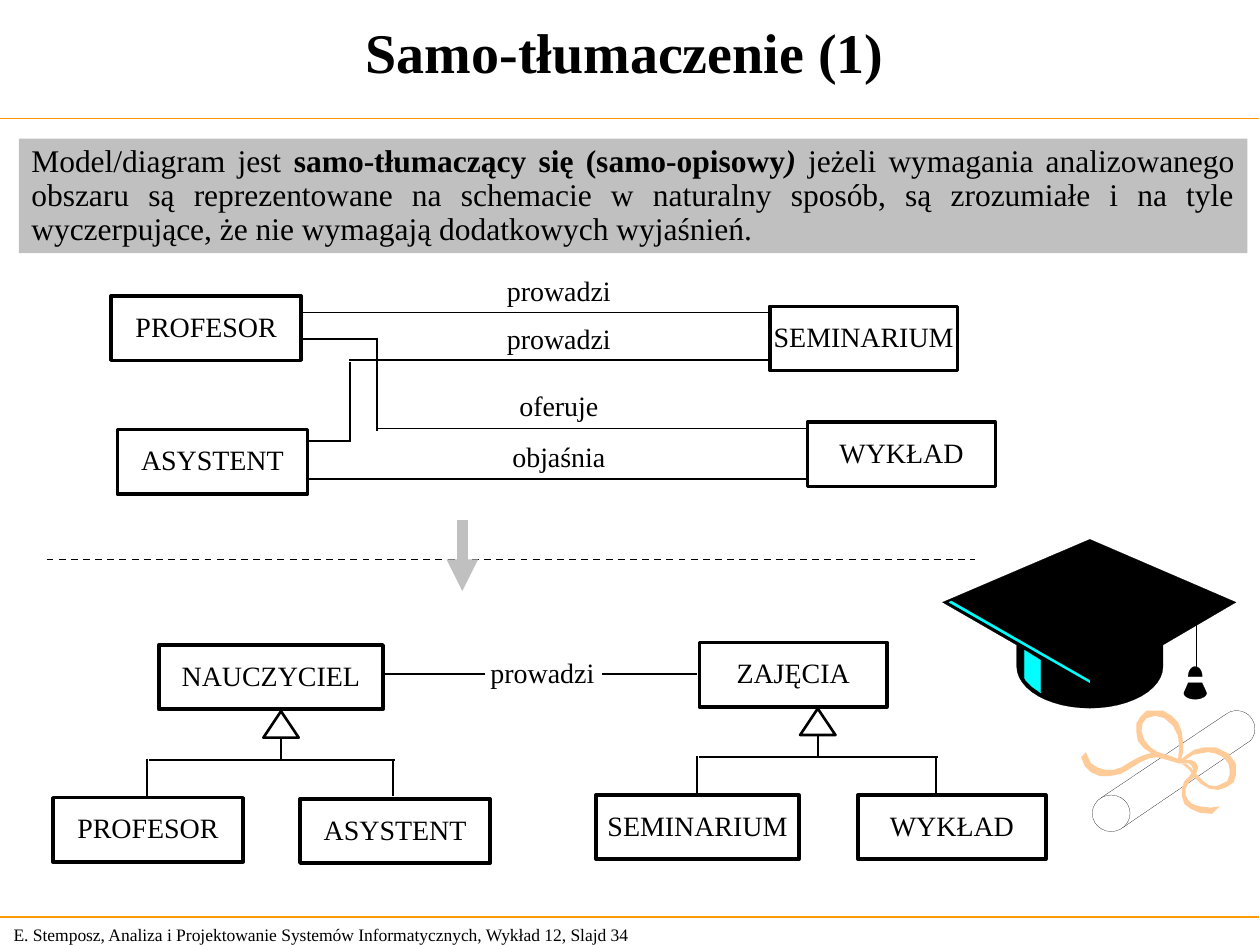
from dataclasses import dataclass
from math import cos, radians, sin

from pptx import Presentation
from pptx.dml.color import RGBColor as RGB
from pptx.enum.dml import MSO_LINE
from pptx.enum.shapes import MSO_CONNECTOR, MSO_SHAPE as SHAPE
from pptx.enum.text import MSO_ANCHOR as ANCHOR, PP_ALIGN as ALIGN
from pptx.oxml.ns import qn
from pptx.util import Pt
from lxml.etree import SubElement


@dataclass(frozen=True)
class Theme:
    font: str = "Times New Roman"
    black: RGB = RGB(0, 0, 0)
    white: RGB = RGB(255, 255, 255)
    gray: RGB = RGB(0xC0, 0xC0, 0xC0)
    rule: RGB = RGB(0xFF, 0x99, 0x00)
    cyan: RGB = RGB(0, 255, 255)
    ribbon: RGB = RGB(0xFF, 0xCC, 0x99)
    title: int = 32
    body: int = 18
    label: int = 16
    footer: int = 10
    hairline: float = 0.1


T = Theme()

BOXES = [
    ("PROFESOR", 63.4, 169.2, 108.7, None),
    ("SEMINARIUM", 439.9, 175, 107.3, None),
    ("WYKŁAD", 461.5, 241.2, 107.3, T.white),
    ("ASYSTENT", 67, 245.5, 108.7, None),
    ("NAUCZYCIEL", 90.7, 368.6, 128.2, None),
    ("ZAJĘCIA", 399.6, 367.2, 107.3, None),
    ("PROFESOR", 30.2, 455.8, 108.7, None),
    ("ASYSTENT", 171.4, 456.5, 108.7, None),
    ("SEMINARIUM", 340.6, 454.3, 115.9, None),
    ("WYKŁAD", 490.3, 454.3, 107.3, None),
]
LABELS = [
    ("prowadzi", 283.7, 154.1, 26.6),
    ("prowadzi", 283.7, 180, 28.8),
    ("oferuje", 283.7, 217.4, 31),
    ("objaśnia", 283.7, 249.1, 25.2),
    ("prowadzi", 274.3, 363.6, 43.2),
]
ASSOCIATIONS = [
    (172.8, 178.6, 439.2, 178.6),
    (439.2, 205.9, 199.4, 205.9),
    (200.2, 206.6, 200.2, 252.7),
    (200.2, 252, 175.7, 252),
    (172.8, 193.7, 216, 193.7),
    (215.3, 193.7, 215.3, 246.2),
    (216, 244.8, 460.8, 244.8),
    (462.2, 273.6, 175.7, 273.6),
    (277.2, 385.2, 218.9, 385.2),
    (344.2, 385.2, 398.2, 385.2),
]
LEFT_TAIL = [
    (620.6, 429.8), (617.8, 432.7), (619.9, 437.8), (623.5, 441.4), (628.6, 443.5),
    (634.3, 443.5), (640.8, 442.1), (645.8, 439.2), (651.6, 435.6), (656.6, 433.4),
    (661, 432.7), (666.7, 434.2), (673.9, 436.3), (674.6, 434.2), (668.9, 432),
    (661.7, 429.8), (656.6, 430.6), (652.3, 432), (646.6, 434.9), (640.8, 438.5),
    (636.5, 439.9), (631.4, 439.9), (627.1, 438.5), (623.5, 436.3), (621.4, 432)]
RIGHT_TAIL = [
    (674.6, 434.2), (680.4, 434.2), (683.3, 435.6), (684.7, 438.5), (684, 440.6),
    (683.3, 443.5), (679.7, 446.4), (677.5, 450.7), (677.5, 454.3), (679, 457.2),
    (681.1, 459.4), (685.4, 460.8), (691.9, 461.5), (697, 460.8), (692.6, 465.1),
    (685.4, 464.4), (680.4, 462.2), (676.8, 459.4), (675.4, 455), (675.4, 450.7),
    (676.8, 446.4), (679.7, 443.5), (681.1, 441.4), (681.8, 439.9), (681.1, 437.8),
    (679.7, 436.3), (673.2, 436.3)]
LEFT_LOOP = [
    (673.2, 434.2), (673.9, 427), (673.2, 420.5), (670.3, 414.7), (665.3, 410.4),
    (660.2, 409), (655.2, 410.4), (653, 413.3), (652.3, 417.6), (653.8, 422.6),
    (657.4, 427), (661.7, 429.8), (669.6, 433.4), (659.5, 431.3), (653.8, 427.7),
    (650.2, 423.4), (649.4, 418.3), (649.4, 413.3), (651.6, 409.7), (655.2, 406.1),
    (664.6, 406.1), (669.6, 409), (673.2, 412.6), (675.4, 418.3), (676.1, 424.8),
    (676.1, 429.8), (674.6, 435.6)]
RIGHT_LOOP = [
    (674.6, 434.2), (678.2, 431.3), (682.6, 428.4), (688.3, 427), (694.8, 427),
    (702, 430.6), (706.3, 436.3), (706.3, 442.8), (704.9, 447.1), (700.6, 450),
    (696.2, 451.4), (691.2, 450.7), (686.2, 447.8), (682.6, 444.2), (679.7, 439.9),
    (676.1, 437), (674.6, 436.3), (677.5, 436.3), (680.4, 438.5), (683.3, 442.1),
    (686.9, 445.7), (690.5, 448.6), (694.8, 449.3), (698.4, 447.8), (701.3, 446.4),
    (702.7, 442.8), (702.7, 439.9), (702, 436.3), (699.1, 432.7), (694.8, 430.6),
    (690.5, 429.8), (685.4, 430.6), (681.8, 431.3), (679.7, 432.7), (677.5, 434.2)]


def paint(sp, fill=None, line=None, width=T.hairline):
    sp.shadow.inherit = False
    if fill is None:
        sp.fill.background()
    else:
        sp.fill.solid()
        sp.fill.fore_color.rgb = fill
    if line is None:
        sp.line.fill.background()
    else:
        sp.line.color.rgb = line
        sp.line.width = Pt(width)


def write(sp, runs, size, align=ALIGN.CENTER, anchor=ANCHOR.MIDDLE, wrap=False,
          spacing=0.9, margin=7.2):
    tf = sp.text_frame
    tf.word_wrap = wrap
    tf.vertical_anchor = anchor
    tf.margin_left = tf.margin_right = Pt(margin)
    p = tf.paragraphs[0]
    p.alignment = align
    p.line_spacing = spacing
    for text, bold, italic in runs:
        r = p.add_run()
        r.text = text
        r.font.name, r.font.size = T.font, Pt(size)
        r.font.bold, r.font.italic = bold, italic
        r.font.color.rgb = T.black


def add_text(s, text, x, y, w, h, size, bold=False, **layout):
    sp = s.shapes.add_textbox(Pt(x), Pt(y), Pt(w), Pt(h))
    write(sp, [(text, bold, False)], size, **layout)


def add_preset(s, kind, x, y, w, h, fill=None, line=None, width=T.hairline):
    sp = s.shapes.add_shape(kind, Pt(x), Pt(y), Pt(w), Pt(h))
    paint(sp, fill, line, width)
    return sp


def add_line(s, x1, y1, x2, y2, color=T.black, width=1):
    c = s.shapes.add_connector(MSO_CONNECTOR.STRAIGHT, Pt(x1), Pt(y1), Pt(x2), Pt(y2))
    c.line.color.rgb = color
    c.line.width = Pt(width)
    SubElement(c._element.spPr, qn("a:effectLst"))
    return c


def add_outline(s, points, fill, line=None):
    (x, y), *rest = [(Pt(px), Pt(py)) for px, py in points]
    fb = s.shapes.build_freeform(x, y)
    fb.add_line_segments(rest, close=True)
    paint(fb.convert_to_shape(), fill, line)


def arc(cx, cy, rx, ry, start, end, steps=24):
    angles = [radians(start + (end - start) * i / steps) for i in range(steps + 1)]
    return [(cx + rx * cos(a), cy + ry * sin(a)) for a in angles]


def add_inheritance(s, left, right, stem, top, bar, bottom):
    for x in (left, right):
        add_line(s, x, bar - 0.7, x, bottom)
    add_line(s, left + 1, bar, right + 1, bar)
    add_line(s, stem, bar, stem, top)
    add_preset(s, SHAPE.ISOSCELES_TRIANGLE, stem - 10.1, top + 1, 20.2, 15.1,
               T.white, T.black, 1.5)


def add_cap(s):
    brim = arc(622.8, 380.9, 41.8, 23.8, 180, 0)
    add_outline(s, [(622.8, 308.2), (538.6, 344.2), (581, 368.6), *brim,
                    (664.6, 368.6), (706.3, 344.2)], T.black, T.black)
    add_outline(s, [(585.4, 371.5), (594.7, 377.3), (594.7, 396), (589.7, 392.4),
                    (586.1, 388.8), (585.4, 387.4)], T.cyan, T.cyan)
    add_outline(s, [(542.2, 344.2), (622.8, 390.2), (622.8, 388.8), (543.6, 343.4)],
                T.cyan, T.cyan)
    add_line(s, 683.3, 334.1, 683.3, 380.9, width=T.hairline)
    add_outline(s, arc(683, 386.6, 4, 5.7, 180, 360), T.black, T.black)
    add_outline(s, [(686.9, 390.2), (679, 390.2), *arc(683, 396, 6.5, 3.6, 180, 0)],
                T.black, T.black)


def add_diploma(s):
    add_outline(s, [(629.3, 455.8), *arc(706.7, 416.5, 10.4, 10.4, -120, 40),
                    (641.5, 473)], T.white, T.black)
    add_preset(s, SHAPE.OVAL, 624.2, 454.3, 21.6, 20.9, T.white, T.black)
    for ribbon in (LEFT_TAIL, RIGHT_TAIL, LEFT_LOOP, RIGHT_LOOP):
        add_outline(s, ribbon, T.ribbon)


def main():
    prs = Presentation()
    prs.slide_width, prs.slide_height = Pt(720), Pt(540)
    s = prs.slides.add_slide(prs.slide_layouts[6])
    add_text(s, "E. Stemposz, Analiza i Projektowanie Systemów Informatycznych, Wykład 12, Slajd 34",
             0.7, 524.2, 377.3, 19.4, T.footer, align=ALIGN.LEFT, wrap=True, spacing=1.0)
    for y in (67.9, 524):
        add_line(s, -0.7, y, 719.3, y, T.rule, 0.75)
    add_text(s, "Samo-tłumaczenie (1)", 0, -1.4, 714.2, 61.2, T.title, True,
             wrap=True, spacing=1.0)

    for name, x, y, w, fill in BOXES:
        sp = add_preset(s, SHAPE.RECTANGLE, x, y, w, 36.7, fill, T.black, 2)
        write(sp, [(name, False, False)], T.label, margin=0)
    for text, x, y, h in LABELS:
        add_text(s, text, x, y, 71.3, h, T.label, margin=0)
    for ends in ASSOCIATIONS:
        add_line(s, *ends)
    add_line(s, 26.6, 319.7, 557.3, 319.7).line.dash_style = MSO_LINE.DASH
    add_cap(s)
    add_diploma(s)
    arrow = add_line(s, 264.2, 297.4, 264.2, 337.7, T.gray, 6)
    SubElement(arrow.line._get_or_add_ln(), qn("a:tailEnd")).set("type", "triangle")
    add_inheritance(s, 84.2, 224.6, 160.6, 405.4, 434.2, 455)
    add_inheritance(s, 398.2, 535, 467.3, 403.9, 432.7, 453.6)

    definition = add_preset(s, SHAPE.RECTANGLE, 10.8, 79.2, 702, 65.5, T.gray)
    write(definition, [
        ("Model/diagram jest ", False, False),
        ("samo-tłumaczący się (samo-opisowy", True, False),
        (")", True, True),
        (" jeżeli wymagania analizowanego obszaru są reprezentowane na schemacie w naturalny "
         "sposób, są zrozumiałe i na tyle wyczerpujące, że nie wymagają dodatkowych wyjaśnień.",
         False, False),
    ], T.body, ALIGN.JUSTIFY, ANCHOR.TOP, wrap=True)
    prs.save("out.pptx")


if __name__ == "__main__":
    main()
